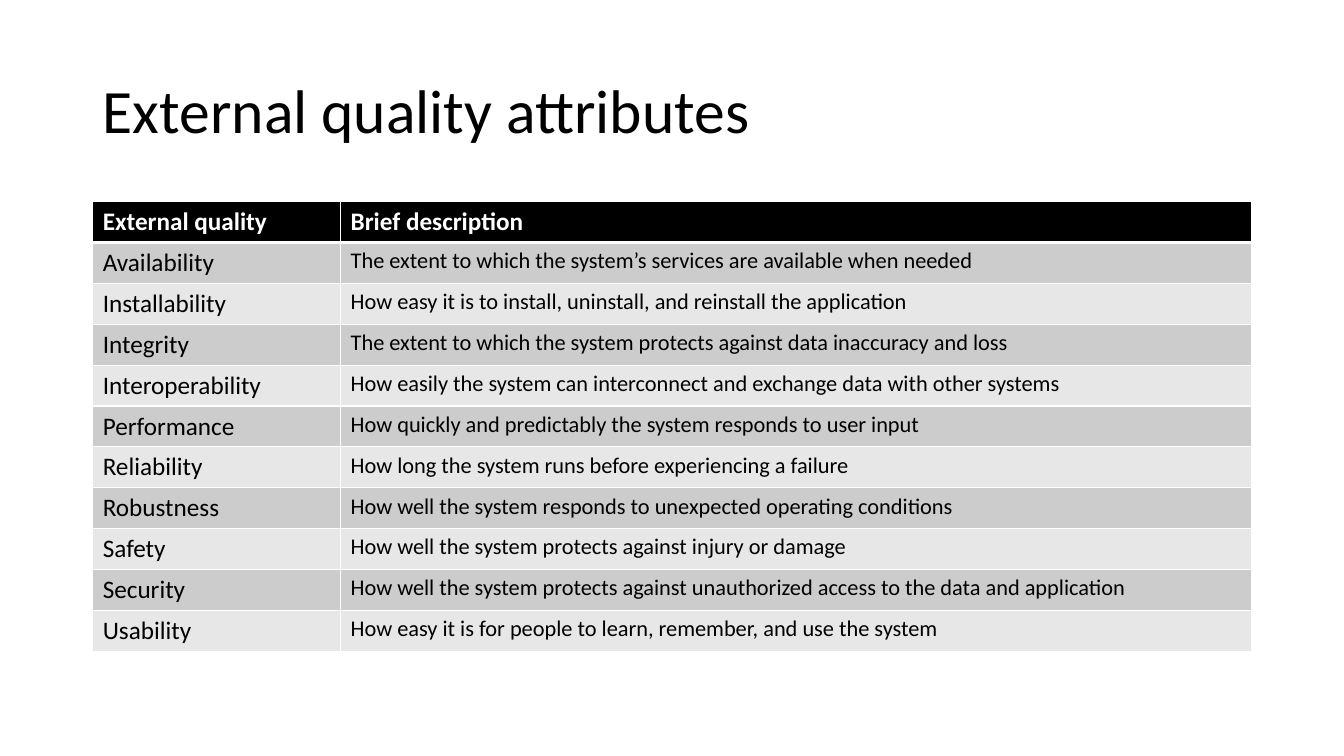
from dataclasses import dataclass

from lxml.etree import SubElement
from pptx import Presentation
from pptx.dml.color import RGBColor as RGB
from pptx.enum.text import MSO_ANCHOR as ANCHOR, MSO_AUTO_SIZE as AUTOSIZE, PP_ALIGN as ALIGN
from pptx.oxml.ns import qn
from pptx.util import Inches, Pt

TITLE_ONLY = 5
COLS, ROWS = 29, 75  # slide grid

QUALITIES = [
    ("External quality", "Brief description"),
    ("Availability", "The extent to which the system’s services are available when needed"),
    ("Installability", "How easy it is to install, uninstall, and reinstall the application"),
    ("Integrity", "The extent to which the system protects against data inaccuracy and loss"),
    ("Interoperability", "How easily the system can interconnect and exchange data with other systems"),
    ("Performance", "How quickly and predictably the system responds to user input"),
    ("Reliability", "How long the system runs before experiencing a failure"),
    ("Robustness", "How well the system responds to unexpected operating conditions"),
    ("Safety", "How well the system protects against injury or damage"),
    ("Security", "How well the system protects against unauthorized access to the data and application"),
    ("Usability", "How easy it is for people to learn, remember, and use the system"),
]


@dataclass(frozen=True)
class Theme:
    font: str = "Calibri"
    text: str = "000000"
    header_text: str = "FFFFFF"
    header_fill: str = "000000"
    bands: tuple = ("CCCCCC", "E7E7E7")
    rule: str = "FFFFFF"
    rule_width: float = 1
    header_rule_width: float = 3
    title_size: int = 44
    label_size: int = 18
    body_size: int = 16


def write(tf, text, *, font, size, color, bold=False, align=ALIGN.LEFT, spacing=None):
    p = tf.paragraphs[0]
    p.alignment = align
    p.line_spacing = spacing
    r = p.add_run()
    r.text = text
    r.font.name, r.font.size, r.font.bold = font, Pt(size), bold
    r.font.color.rgb = RGB.from_string(color)


def set_borders(cell, color, **widths):
    """Draw cell edges; widths maps L, R, T, B, in that order, to points."""
    tcPr = cell._tc.get_or_add_tcPr()
    for side, width in widths.items():
        ln = SubElement(tcPr, qn(f"a:ln{side}"), w=str(Pt(width)))
        SubElement(SubElement(ln, qn("a:solidFill")), qn("a:srgbClr"), val=color)


class Deck:
    def __init__(self, theme):
        self.theme = theme
        self.prs = Presentation()
        self.prs.slide_width, self.prs.slide_height = Inches(13.333), Inches(7.5)
        self.s = self.prs.slides.add_slide(self.prs.slide_layouts[TITLE_ONLY])

    def x(self, cols):
        return round(self.prs.slide_width * cols / COLS)

    def y(self, rows):
        return round(self.prs.slide_height * rows / ROWS)

    def title(self, text, col, row, cols, rows):
        t, sp = self.theme, self.s.shapes.title
        sp.left, sp.top, sp.width, sp.height = self.x(col), self.y(row), self.x(cols), self.y(rows)
        tf = sp.text_frame
        tf.word_wrap, tf.auto_size, tf.vertical_anchor = True, AUTOSIZE.NONE, ANCHOR.MIDDLE
        write(tf, text, font=t.font, size=t.title_size, color=t.text, spacing=0.9)

    def table(self, data, col, row, widths, rows):
        frame = self.s.shapes.add_table(len(data), len(widths), self.x(col), self.y(row),
                                        self.x(sum(widths)), self.y(rows))
        table = frame.table
        for column, width in zip(table.columns, widths):
            column.width = self.x(width)
        for i, texts in enumerate(data):
            table.rows[i].height = self.y(rows / len(data))
            for j, text in enumerate(texts):
                self.cell(table.cell(i, j), text, i, j)

    def cell(self, cell, text, i, j):
        t, header = self.theme, i == 0
        top = t.header_rule_width if i == 1 else t.rule_width
        bottom = t.header_rule_width if header else t.rule_width
        set_borders(cell, t.rule, L=t.rule_width, R=t.rule_width, T=top, B=bottom)
        cell.fill.solid()
        fill = t.header_fill if header else t.bands[(i - 1) % 2]
        cell.fill.fore_color.rgb = RGB.from_string(fill)
        write(cell.text_frame, text, font=t.font, bold=header,
              size=t.label_size if header or j == 0 else t.body_size,
              color=t.header_text if header else t.text)


def main():
    deck = Deck(Theme())
    deck.title("External quality attributes", col=2, row=4, cols=25, rows=14.5)
    deck.table(QUALITIES, col=2, row=20, widths=(5.35, 19.65), rows=44.6)
    deck.prs.save("out.pptx")


if __name__ == "__main__":
    main()
